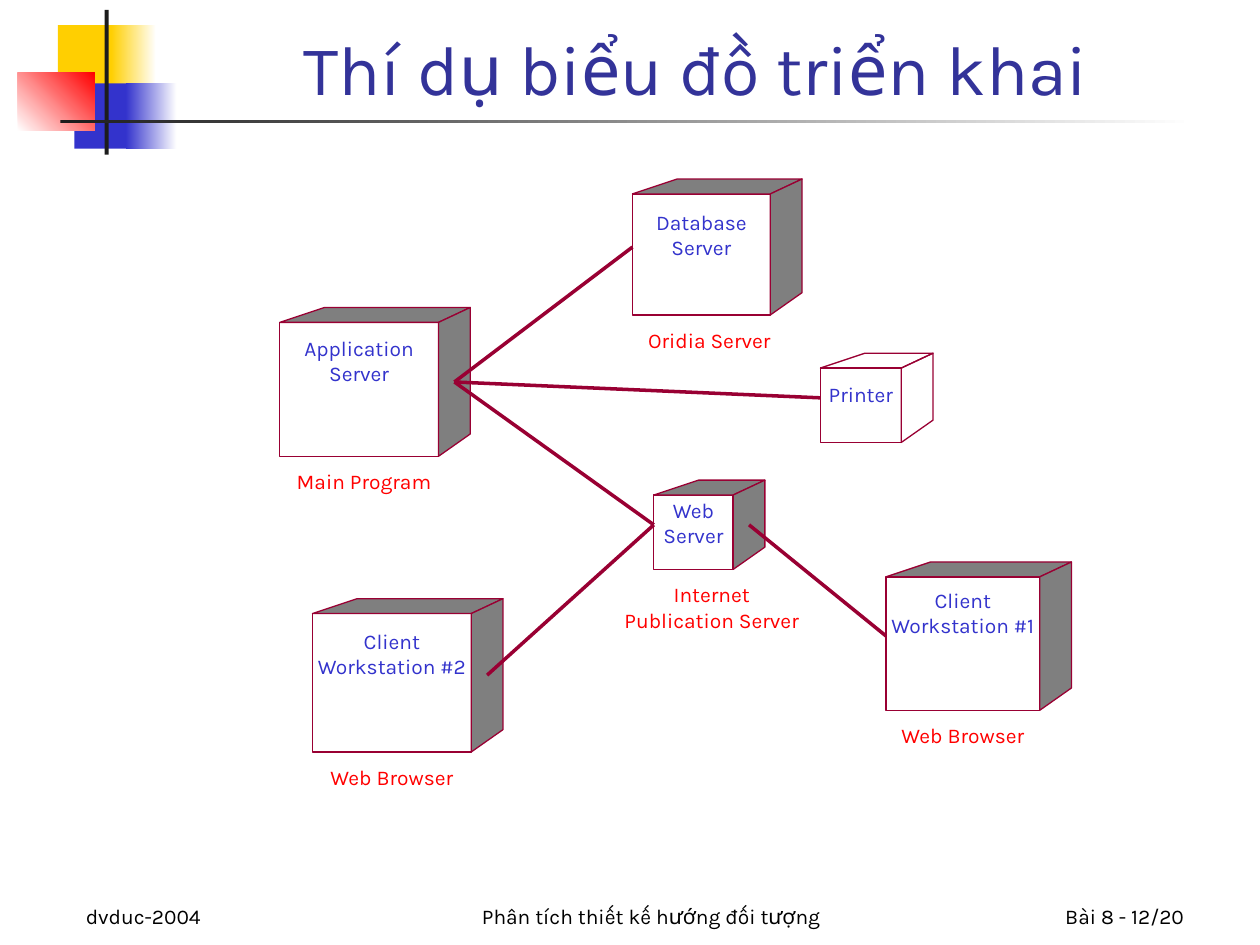
from dataclasses import dataclass

from lxml import etree
from pptx import Presentation
from pptx import util as u
from pptx.dml import color
from pptx.enum import shapes, text
from pptx.oxml import ns

COLORS = {
    "yellow": "FFCF01",
    "blue": "3333CC",
    "red": "FF0000",
    "white": "FFFFFF",
    "dark": "1C1C1C",
    "black": "000000",
    "title": "333399",
    "edge": "990033",
    "shade": "7F7F7F",
}
FONT = "Karla"
LID, DEPTH, SKEW, RISE = 0.3, 0.64, 0.9, 0.45
LINE_HEIGHT = 0.51
CAPTION_GAP = 0.25


@dataclass
class Node:
    label: str
    left: float
    top: float
    width: float
    height: float
    label_gap: float
    caption: str = ""
    caption_shift: float = 0
    side: str = "shade"

    @property
    def right(self):
        return self.left + self.width

    @property
    def bottom(self):
        return self.top + self.height

    @property
    def center(self):
        return self.left + self.width / 2

    @property
    def middle(self):
        return (self.top - LID + self.bottom) / 2

    @property
    def left_port(self):
        return self.left, self.middle

    @property
    def right_port(self):
        return self.right + DEPTH / 2, self.middle


def rgb(name):
    return color.RGBColor.from_string(COLORS[name])


def lengths(*values):
    return [u.Cm(round(value, 2)) for value in values]


def style_text(frame, size, tint, align):
    for para in frame.paragraphs:
        para.alignment = align
        for span in para.runs:
            span.font.name = FONT
            span.font.size = u.Pt(size)
            span.font.color.rgb = rgb(tint)


def add_bar(page, place, start, end=None, angle=0):
    bar = page.shapes.add_shape(shapes.MSO_SHAPE.RECTANGLE, *lengths(*place))
    bar.shadow.inherit = False
    bar.line.fill.background()
    if end is None:
        bar.fill.solid()
        bar.fill.fore_color.rgb = rgb(start)
        return
    bar.fill.gradient()
    bar.fill.gradient_angle = angle
    for stop, tint in zip(bar.fill.gradient_stops, (start, end)):
        stop.color.rgb = rgb(tint)


def add_decoration(page):
    add_bar(page, (1.17, 0.51, 1.22, 1.32), "yellow")
    add_bar(page, (2.24, 0.51, 0.91, 1.32), "yellow", "white")
    add_bar(page, (1.5, 1.68, 1.17, 1.32), "blue")
    add_bar(page, (2.54, 1.68, 1.02, 1.32), "blue", "white")
    add_bar(page, (0.36, 1.47, 1.55, 1.17), "white", "red", 45)
    add_bar(page, (2.11, 0.2, 0.08, 2.92), "dark")
    add_bar(page, (1.22, 2.41, 22.86, 0.08), "dark", "white")


def format_title(page, wording):
    title = page.shapes.title
    title.left, title.top, title.width, title.height = lengths(3.2, 0.2, 21.64, 2.13)
    frame = title.text_frame
    frame.text = wording
    frame.auto_size = text.MSO_AUTO_SIZE.NONE
    frame.vertical_anchor = text.MSO_ANCHOR.BOTTOM
    style_text(frame, 40, "title", text.PP_ALIGN.CENTER)


def add_footer(page, wording, left, width, align):
    box = page.shapes.add_textbox(*lengths(left, 17.58, width, 1.27))
    frame = box.text_frame
    frame.word_wrap = True
    frame.vertical_anchor = text.MSO_ANCHOR.BOTTOM
    frame.text = wording
    style_text(frame, 12, "black", align)


def add_label(holder, wording, center, top, width, tint):
    height = LINE_HEIGHT * len(wording.splitlines())
    box = holder.shapes.add_textbox(*lengths(center - width / 2, top, width, height))
    frame = box.text_frame
    frame.margin_left = frame.margin_right = frame.margin_top = frame.margin_bottom = 0
    frame.word_wrap = False
    frame.text = wording
    style_text(frame, 12, tint, text.PP_ALIGN.CENTER)
    for para in frame.paragraphs:
        para.line_spacing = u.Pt(14.4)


def style_face(face, tint=None):
    face.shadow.inherit = False
    face.line.color.rgb = rgb("edge")
    face.line.width = u.Pt(0)
    if tint:
        face.fill.solid()
        face.fill.fore_color.rgb = rgb(tint)
    else:
        face.fill.background()


def add_face(holder, corners, tint):
    start, *others = [lengths(*corner) for corner in corners]
    outline = holder.shapes.build_freeform(*start)
    outline.add_line_segments(others, close=True)
    style_face(outline.convert_to_shape(), tint)


def add_node(page, node):
    cube = page.shapes.add_group_shape()
    front = cube.shapes.add_shape(
        shapes.MSO_SHAPE.RECTANGLE,
        *lengths(node.left, node.top, node.width, node.height))
    style_face(front)
    back = (node.right + DEPTH, node.top - LID)
    corner = (node.right, node.top)
    add_face(cube, [(node.left, node.top), (node.left + SKEW, back[1]), back, corner],
             node.side)
    add_face(cube, [corner, back, (back[0], node.bottom - RISE),
                    (node.right, node.bottom)], node.side)
    add_label(cube, node.label, node.center, node.top + node.label_gap, node.width, "blue")
    if node.caption:
        add_label(page, node.caption, node.center + node.caption_shift,
                  node.bottom + CAPTION_GAP, 3.8, "red")


def add_link(page, start, end):
    link = page.shapes.add_connector(
        shapes.MSO_CONNECTOR.STRAIGHT, *lengths(*start, *end))
    link.line.color.rgb = rgb("edge")
    link.line.width = u.Pt(0)
    etree.SubElement(link._element.spPr, ns.qn("a:effectLst"))


def main():
    deck = Presentation()
    deck.slide_width, deck.slide_height = lengths(25.4, 19.05)
    page = deck.slides.add_slide(deck.slide_layouts[5])
    add_decoration(page)
    format_title(page, "Thí dụ biểu đồ triển khai")

    application = Node("Application\nServer", 5.64, 6.5, 3.2, 2.7, 0.26, "Main Program", 0.1)
    database = Node("Database\nServer", 12.75, 3.91, 2.78, 2.44, 0.31, "Oridia Server", 0.16)
    web = Node("Web\nServer", 13.18, 9.98, 1.6, 1.5, 0.05,
               "Internet\nPublication Server", 0.37)
    client_one = Node("Client\nWorkstation #1", 17.86, 11.63, 3.1, 2.69, 0.21, "Web Browser")
    client_two = Node("Client\nWorkstation #2", 6.3, 12.37, 3.2, 2.79, 0.3, "Web Browser")
    printer = Node("Printer", 16.54, 7.42, 1.63, 1.5, 0.28, side=None)
    for node in (application, database, web, client_one, client_two, printer):
        add_node(page, node)

    for source, target in ((application, database), (application, printer),
                           (application, web), (client_two, web), (web, client_one)):
        add_link(page, source.right_port, target.left_port)

    add_footer(page, "dvduc-2004", 1.48, 5.28, text.PP_ALIGN.LEFT)
    add_footer(page, "Phân tích thiết kế hướng đối tượng", 8.26, 9.73, text.PP_ALIGN.CENTER)
    add_footer(page, "Bài 8 - 12/20", 18.84, 5.28, text.PP_ALIGN.RIGHT)
    deck.save("out.pptx")


if __name__ == "__main__":
    main()
